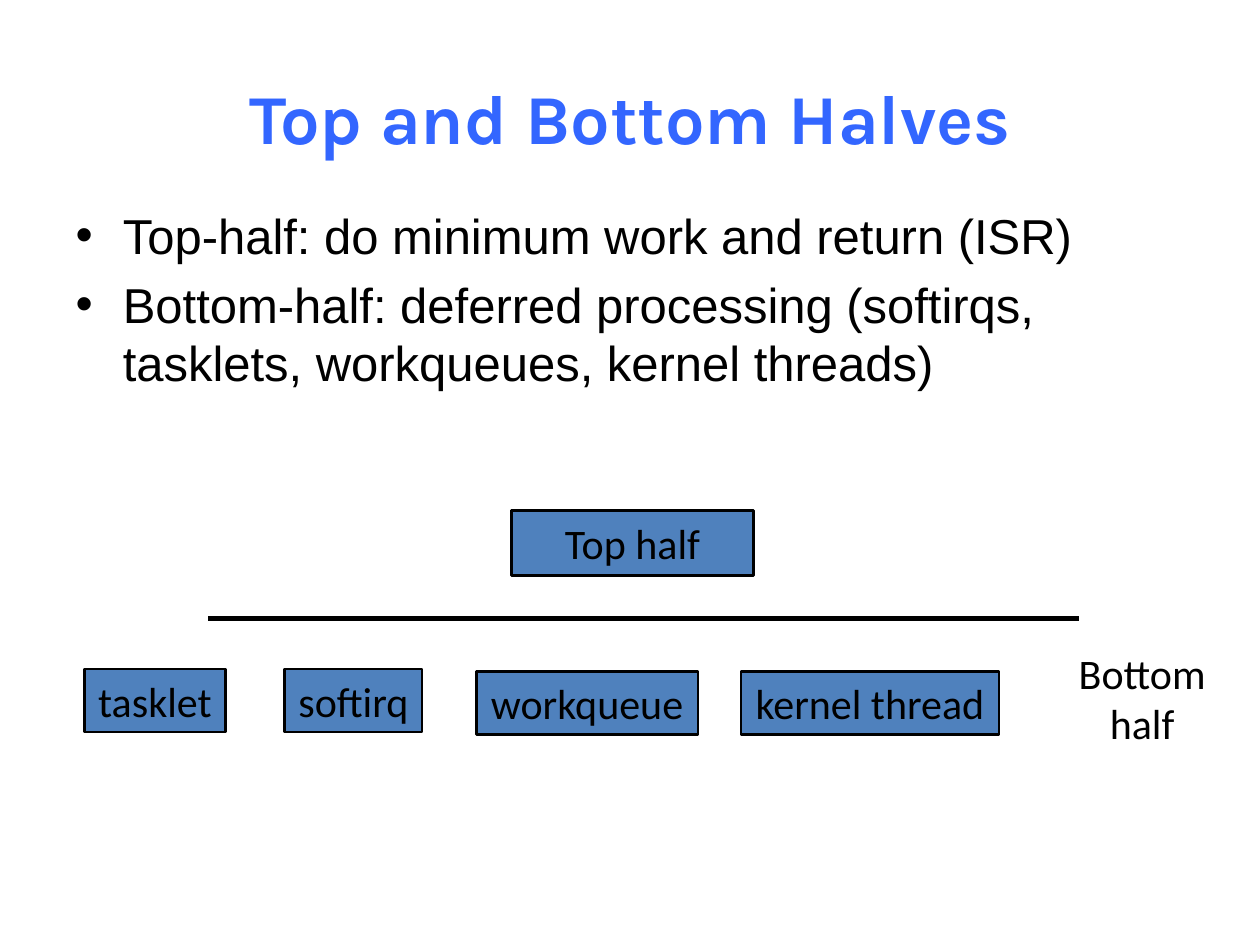
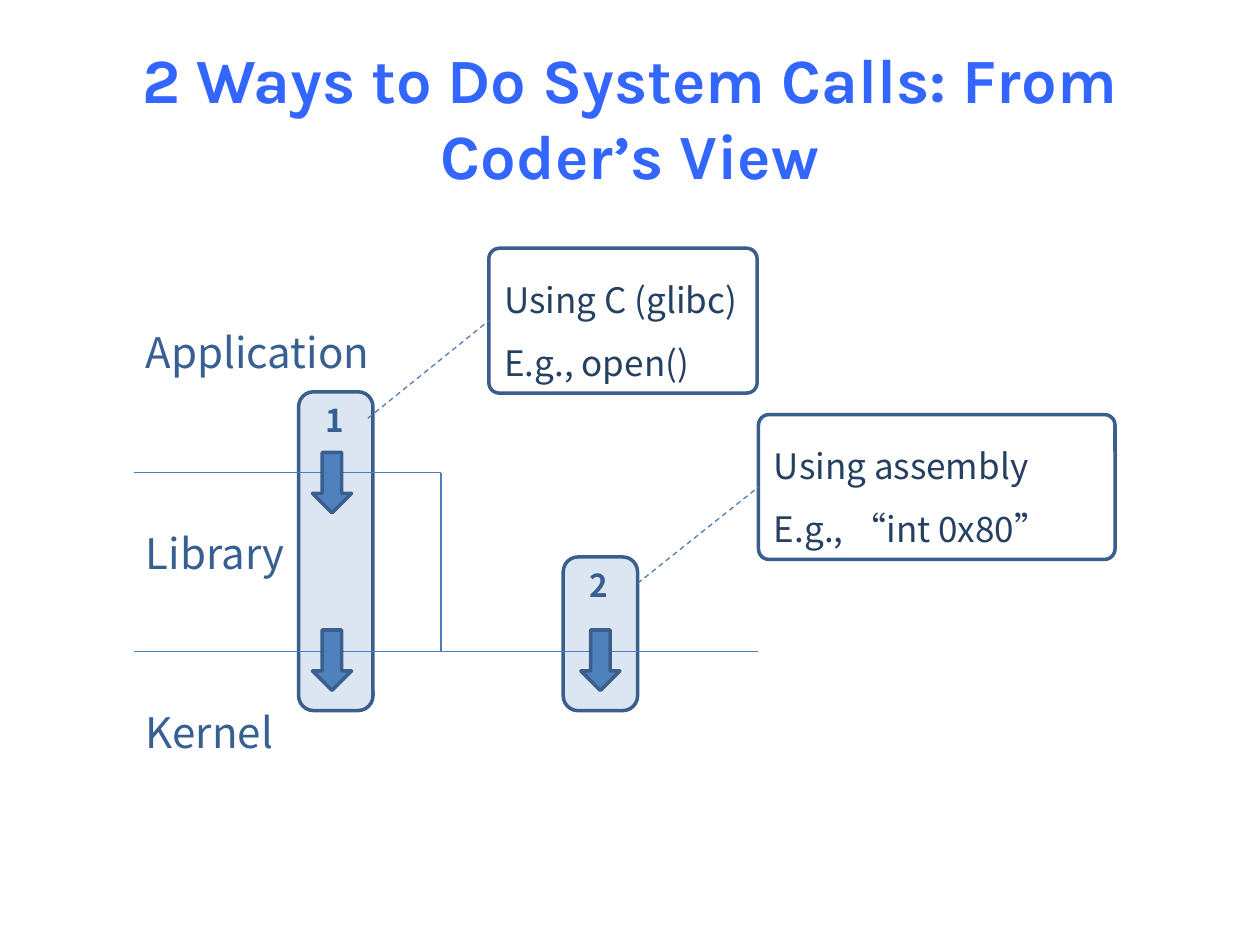
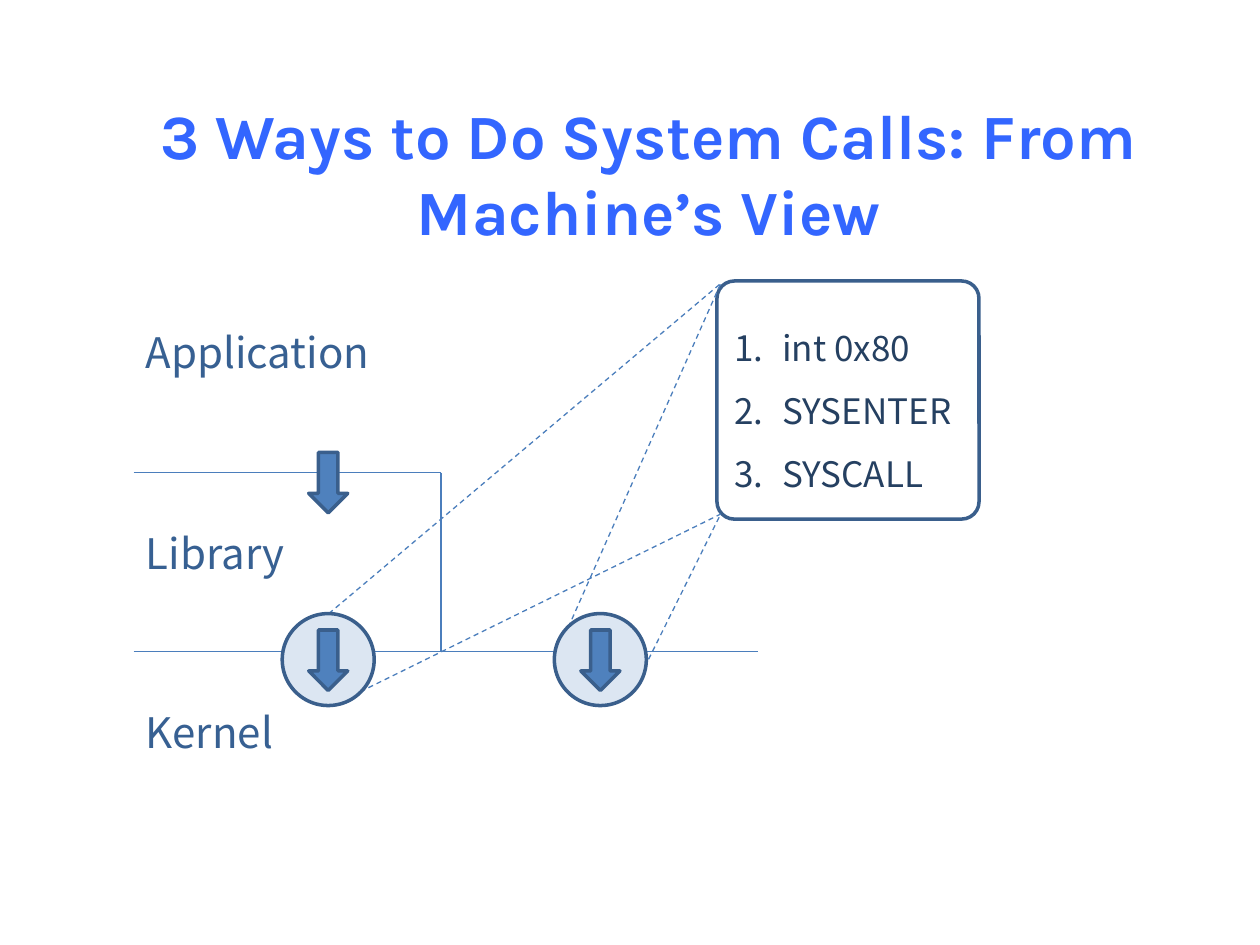
from lxml import etree
from pptx import Presentation
from pptx.dml.color import RGBColor
from pptx.enum.dml import MSO_LINE
from pptx.enum.shapes import MSO_CONNECTOR, MSO_SHAPE as SHAPE
from pptx.enum.text import MSO_ANCHOR as ANCHOR, MSO_AUTO_SIZE as FIT, PP_ALIGN as ALIGN
from pptx.oxml.ns import qn
from pptx.util import Inches, Pt

BLACK, TITLE_BLUE = "000000", "3366FF"
FILL, PALE = "4F81BD", "DCE6F2"
OUTLINE, RULE = "3A5F8C", "4B7EBC"
LABEL, NAVY = "376092", "254061"
SANS = "Noto Sans CJK SC"
LAYOUT_BODY, LAYOUT_TITLE = 1, 5


def rgb(value):
    return RGBColor.from_string(value)


def write(tf, text, size=24, font=SANS, color=LABEL, bold=False, align=None,
          spacing=None, anchor=None, fit=FIT.NONE, wrap=True, numbered=False):
    """Fill a text frame, one paragraph per line of text."""
    tf.word_wrap, tf.auto_size = wrap, fit
    if anchor is not None:
        tf.vertical_anchor = anchor
    for i, line in enumerate(text.split("\n")):
        p = tf.paragraphs[0] if i == 0 else tf.add_paragraph()
        if align is not None:
            p.alignment = align
        if spacing:
            p.line_spacing = spacing
        if numbered:
            pPr = p._p.get_or_add_pPr()
            pPr.set("marL", str(Inches(0.38)))
            pPr.set("indent", str(-Inches(0.38)))
            etree.SubElement(pPr, qn("a:buFont"), typeface="+mj-lt")
            etree.SubElement(pPr, qn("a:buAutoNum"), type="arabicPeriod")
        r = p.add_run()
        r.text = line
        r.font.size, r.font.name, r.font.bold = Pt(size), font, bold
        r.font.color.rgb = rgb(color)


class Deck:
    """The shared style and the current slide."""

    def __init__(self):
        self.prs = Presentation()
        self.prs.slide_width, self.prs.slide_height = Inches(10), Inches(7.5)

    def slide(self, title, layout=LAYOUT_TITLE, size=36, box=(0.5, 0.3, 9, 1.25)):
        self.s = self.prs.slides.add_slide(self.prs.slide_layouts[layout])
        self.place(self.s.shapes.title, box)
        write(self.s.shapes.title.text_frame, title, size=size, font="Karla",
              color=TITLE_BLUE, bold=True, align=ALIGN.CENTER, anchor=ANCHOR.MIDDLE)

    def place(self, sp, box):
        sp.left, sp.top, sp.width, sp.height = map(Inches, box)

    def body(self, text, box):
        sp = self.s.placeholders[1]
        self.place(sp, box)
        write(sp.text_frame, text, size=28, font="Arial", color=BLACK)

    def text(self, text, x, y, w, h, **fmt):
        sp = self.s.shapes.add_textbox(*map(Inches, (x, y, w, h)))
        write(sp.text_frame, text, fit=FIT.SHAPE_TO_FIT_TEXT, **fmt)

    def shape(self, kind, x, y, w, h, fill=FILL, line=OUTLINE, weight=2, adj=None):
        sp = self.s.shapes.add_shape(kind, *map(Inches, (x, y, w, h)))
        sp.shadow.inherit = False
        if fill:
            sp.fill.solid()
            sp.fill.fore_color.rgb = rgb(fill)
        else:
            sp.fill.background()
        sp.line.color.rgb, sp.line.width = rgb(line), Pt(weight)
        if adj:
            sp.adjustments[0] = adj
        return sp

    def line(self, x1, y1, x2, y2, color=RULE, weight=0.75, dashed=False, end=None):
        c = self.s.shapes.add_connector(MSO_CONNECTOR.STRAIGHT,
                                        *map(Inches, (x1, y1, x2, y2)))
        c.line.color.rgb, c.line.width = rgb(color), Pt(weight)
        if dashed:
            c.line.dash_style = MSO_LINE.DASH
        if end is not None:
            c.end_connect(end, 1)
        etree.SubElement(c._element.spPr, qn("a:effectLst"))

    def half_box(self, text, x, y, w, h=0.5, wrap=False):
        sp = self.shape(SHAPE.RECTANGLE, x, y, w, h, line=BLACK, weight=1.5)
        write(sp.text_frame, text, font="Calibri", color=BLACK, align=ALIGN.CENTER,
              anchor=ANCHOR.MIDDLE, fit=FIT.SHAPE_TO_FIT_TEXT, wrap=wrap)

    def callout(self, text, x, y, w, h, numbered=False):
        sp = self.shape(SHAPE.ROUNDED_RECTANGLE, x, y, w, h, fill=None, adj=0.073)
        write(sp.text_frame, text, size=20, color=NAVY, align=ALIGN.LEFT, spacing=1.5,
              anchor=ANCHOR.MIDDLE, numbered=numbered)
        return sp

    def pillar(self, number, x, y, h):
        self.shape(SHAPE.ROUNDED_RECTANGLE, x, y, 0.59, h, fill=PALE, adj=0.199)
        self.text(number, x + 0.01, y + 0.02, 0.55, 0.4, size=18, bold=True,
                  align=ALIGN.CENTER)

    def arrow(self, x, y):
        self.shape(SHAPE.DOWN_ARROW, x, y, 0.31, 0.48)

    def layers(self):
        """Application, library and kernel with the borders between them."""
        for ends in ((1.06, 5.17, 6.02, 5.17), (1.06, 3.75, 3.5, 3.75),
                     (3.5, 3.75, 3.5, 5.17)):
            self.line(*ends)
        for name, y in (("Application", 2.54), ("Library", 4.14), ("Kernel", 5.56)):
            self.text(name, 1.06, y, 2.13, 0.5)


def halves(d):
    d.slide("Top and Bottom Halves", LAYOUT_BODY, size=40)
    d.body("Top-half: do minimum work and return (ISR)\n"
           "Bottom-half: deferred processing (softirqs, tasklets, workqueues, "
           "kernel threads)", (0.5, 1.58, 9, 4.82))
    # Top half above the divider, bottom half mechanisms below
    d.half_box("Top half", 4.06, 4.05, 1.92, 0.52, wrap=True)
    d.line(8.56, 4.91, 1.65, 4.91, color=BLACK, weight=3)
    for name, x, y, w in (("tasklet", 0.67, 5.31, 1.12), ("softirq", 2.26, 5.31, 1.09),
                          ("workqueue", 3.78, 5.33, 1.76),
                          ("kernel thread", 5.88, 5.33, 2.05)):
        d.half_box(name, x, y, w)
    d.text("Bottom half", 8.4, 5.09, 1.33, 0.91, font="Calibri", color=BLACK,
           align=ALIGN.CENTER)


def coder_view(d):
    d.slide("2 Ways to Do System Calls: From Coder’s View")
    # Call routes behind the layer borders
    d.pillar("2", 4.47, 4.42, 1.22)
    d.pillar("1", 2.37, 3.11, 2.53)
    d.layers()
    for x, y in ((2.48, 5), (4.61, 5), (2.48, 3.59)):
        d.arrow(x, y)
    # Explanations joined to their routes
    for text, x, y, w, start in (
            ("Using C (glibc)\nE.g., open()", 3.88, 1.97, 2.13, (2.92, 3.32)),
            ("Using assembly\nE.g., “int 0x80”", 6.02, 3.29, 2.83, (5.06, 4.63))):
        box = d.callout(text, x, y, w, 1.15)
        d.line(*start, x, y + 1.15 / 2, dashed=True, end=box)


def machine_view(d):
    d.slide("3 Ways to Do System Calls: From Machine’s View", box=(0.5, 0.88, 9.3, 0.98))
    d.layers()
    d.callout("int 0x80\nSYSENTER\nSYSCALL", 5.69, 2.23, 2.08, 1.89, numbered=True)
    # Zoom lines from the kernel entries to the list
    for x, y, corner_y in ((4.51, 4.98, 2.25), (5.02, 5.49, 4.08),
                           (2.61, 4.87, 2.25), (2.86, 5.49, 4.08)):
        d.line(x, y, 5.72, corner_y, dashed=True)
    # Library call and the two kernel entries
    d.arrow(2.45, 3.59)
    for x in (4.4, 2.24):
        d.shape(SHAPE.OVAL, x, 4.87, 0.73, 0.73, fill=PALE)
        d.arrow(x + 0.21, 5)


def main():
    d = Deck()
    halves(d)
    coder_view(d)
    machine_view(d)
    d.prs.save("out.pptx")


if __name__ == "__main__":
    main()
